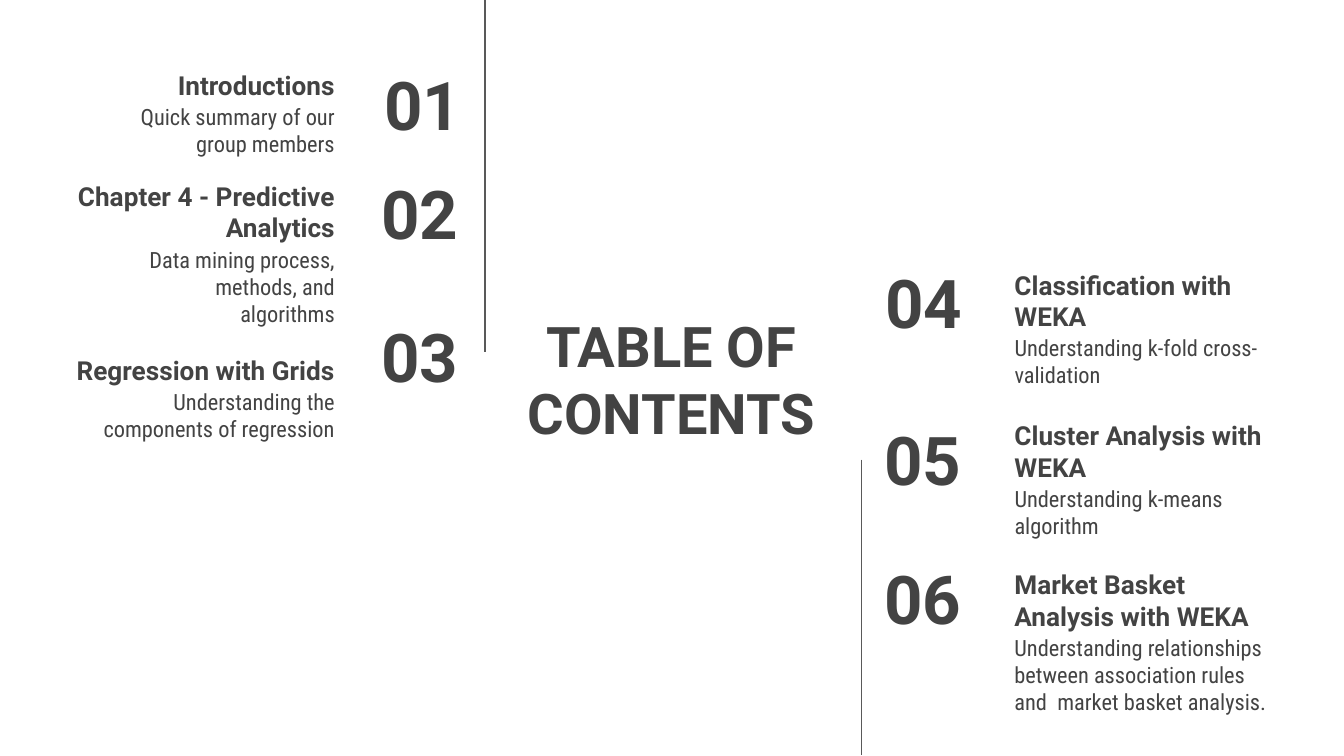
from dataclasses import dataclass
from lxml.etree import SubElement
from pptx import Presentation
from pptx.dml.color import RGBColor as RGB
from pptx.enum.shapes import MSO_CONNECTOR as Link
from pptx.enum.text import MSO_ANCHOR as Anchor, PP_ALIGN as Align
from pptx.oxml.ns import qn
from pptx.util import Inches, Pt


@dataclass(frozen=True)
class Theme:
    ink: RGB = RGB(0x43, 0x43, 0x43)
    rule: RGB = RGB(0x59, 0x59, 0x59)
    head: str = "Roboto"
    body: str = "Roboto Condensed"
    title: int = 30
    number: int = 36
    topic: int = 14
    note: int = 12


theme = Theme()
deck = Presentation()
deck.slide_width, deck.slide_height = Inches(10), Inches(10) * 9 // 16
slide = deck.slides.add_slide(deck.slide_layouts[6])


def write(text, left, top, width, height=0.63, size=theme.note, font=theme.head,
          bold=True, align=Align.LEFT, anchor=Anchor.MIDDLE):
    box = slide.shapes.add_textbox(*map(Inches, (left, top, width, height)))
    frame = box.text_frame
    frame.word_wrap = True
    frame.vertical_anchor = anchor
    frame.margin_left = frame.margin_right = Inches(0.1)
    frame.margin_top = frame.margin_bottom = Inches(0.1)
    line = frame.paragraphs[0]
    line.alignment = align
    run = line.add_run()
    run.text = text
    run.font.name, run.font.size, run.font.bold = font, Pt(size), bold
    run.font.color.rgb = theme.ink


write("TABLE OF CONTENTS", 3.7, 2.3, 2.59, 1.03, size=theme.title, align=Align.CENTER)

edge, start, wide, drop = 2.59, 7.45, 2.16, 0.45
left = [
    ("01", 2.32, 0.46, "Introductions", 0.22, "Quick summary of our group members", 1.82),
    ("02", 2.3, 1.27, "Chapter 4 - Predictive Analytics", 1.28,
     "Data mining process, methods, and algorithms", 1.82),
    ("03", 2.3, 2.33, "Regression with Grids", 2.34,
     "Understanding the components of regression", 2.08),
]
right = [
    ("04", 6.49, 1.93, "Classification with WEKA", 1.94,
     "Understanding k-fold cross-validation", 2.08),
    ("05", 6.48, 3.1, "Cluster Analysis with WEKA", 3.06,
     "Understanding k-means algorithm", 1.82),
    ("06", 6.48, 4.13, "Market Basket Analysis with WEKA", 4.17,
     "Understanding relationships between association rules and  market basket analysis.", 2.16),
]

for side, align, span in ((left, Align.RIGHT, 1.21), (right, Align.LEFT, 1.17)):
    for number, x, y, topic, top, note, width in side:
        flush = align == Align.RIGHT
        write(number, x, y, span, size=theme.number, align=align)
        write(topic, edge - wide if flush else start, top, wide,
              size=theme.topic, align=align, anchor=Anchor.BOTTOM)
        write(note, edge - width if flush else start, top + drop, width,
              font=theme.body, bold=False, align=align, anchor=Anchor.TOP)

for x, top, end in ((3.61, 0, 2.62), (6.41, 3.42, 5.62)):
    rule = slide.shapes.add_connector(Link.STRAIGHT, *map(Inches, (x, top, x, end)))
    rule.line.color.rgb = theme.rule
    rule.line.width = Pt(0.75)
    SubElement(rule._element.spPr, qn("a:effectLst"))

deck.save("out.pptx")
